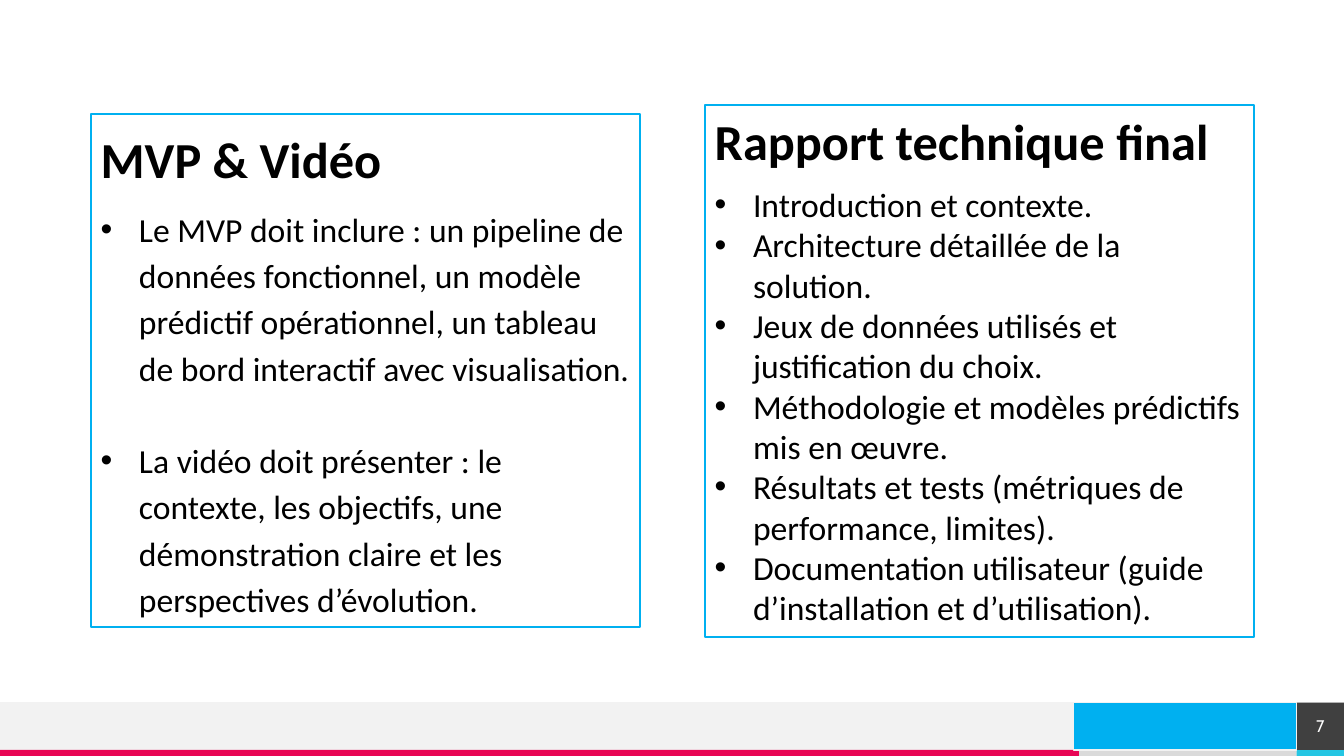
from lxml.etree import SubElement
from pptx import Presentation
from pptx.dml.color import RGBColor
from pptx.enum.shapes import MSO_CONNECTOR, MSO_SHAPE
from pptx.enum.text import MSO_ANCHOR, PP_ALIGN
from pptx.oxml.ns import qn
from pptx.util import Inches, Pt

BLACK = RGBColor(0x00, 0x00, 0x00)
WHITE = RGBColor(0xFF, 0xFF, 0xFF)
BLUE = RGBColor(0x00, 0xB0, 0xF0)
CYAN = RGBColor(0x25, 0xC6, 0xE3)
PINK = RGBColor(0xE8, 0x05, 0x54)
DARK = RGBColor(0x40, 0x40, 0x40)
PALE = RGBColor(0xF2, 0xF2, 0xF2)
GREY = RGBColor(0xDA, 0xDA, 0xDA)

PAGE_NUMBER = "7"
PANELS = [
    {
        "box": (0.9, 1.13, 5.45, 5.09),
        "title": "MVP & Vidéo",
        "points": [
            "Le MVP doit inclure : un pipeline de données fonctionnel, un modèle prédictif "
            "opérationnel, un tableau de bord interactif avec visualisation.",
            "La vidéo doit présenter : le contexte, les objectifs, une démonstration claire "
            "et les perspectives d’évolution.",
        ],
        "line_spacing": 1.15,
        "title_gap": 10,
        "point_gap": 33,
    },
    {
        "box": (6.99, 1.04, 5.45, 5.28),
        "title": "Rapport technique final",
        "points": [
            "Introduction et contexte.",
            "Architecture détaillée de la solution.",
            "Jeux de données utilisés et justification du choix.",
            "Méthodologie et modèles prédictifs mis en œuvre.",
            "Résultats et tests (métriques de performance, limites).",
            "Documentation utilisateur (guide d’installation et d’utilisation).",
        ],
        "line_spacing": 1.0,
        "title_gap": 9.75,
        "point_gap": 0,
    },
]

SLIDE_WIDTH, SLIDE_HEIGHT = 13.33, 7.5
BAND_TOP, STRIP_TOP = 6.97, 7.44
BAND_HEIGHT = STRIP_TOP - BAND_TOP
STRIP_HEIGHT = SLIDE_HEIGHT - STRIP_TOP
BAND_END, NUMBER_LEFT, BLUE_LEFT = 10.7, 12.86, 10.65
NUMBER_WIDTH = SLIDE_WIDTH - NUMBER_LEFT
INDENT = 0.38

FOOTER = [
    ((BAND_END, STRIP_TOP, NUMBER_LEFT - BAND_END, STRIP_HEIGHT), GREY),
    ((0, BAND_TOP, BAND_END, BAND_HEIGHT), PALE),
    ((0, STRIP_TOP, BAND_END, STRIP_HEIGHT), PINK),
    ((NUMBER_LEFT, STRIP_TOP, NUMBER_WIDTH, STRIP_HEIGHT), CYAN),
]

HEADING = {"name": "Calibri", "size": Pt(36), "bold": True}
BODY = {"name": "Calibri", "size": Pt(24), "bold": False}
NUMBER = {"name": "Cabin", "size": Pt(12)}


def set_all(target, values):
    for key, value in values.items():
        setattr(target, key, value)


def add_box(slide, box, fill=None, line=None, line_width=1):
    shape = slide.shapes.add_shape(MSO_SHAPE.RECTANGLE, *map(Inches, box))
    shape.shadow.inherit = False
    if fill is None:
        shape.fill.background()
    else:
        shape.fill.solid()
        shape.fill.fore_color.rgb = fill
    if line is None:
        shape.line.fill.background()
    else:
        shape.line.color.rgb = line
        shape.line.width = Pt(line_width)
    return shape


def write(paragraph, text, style, color, layout):
    run = paragraph.add_run()
    run.text = text
    set_all(run.font, style)
    run.font.color.rgb = color
    set_all(paragraph, layout)


def add_bullet(paragraph):
    properties = paragraph._p.get_or_add_pPr()
    properties.set("marL", str(Inches(INDENT)))
    properties.set("indent", str(-Inches(INDENT)))
    SubElement(properties, qn("a:buFont")).set("typeface", "Arial")
    SubElement(properties, qn("a:buChar")).set("char", "•")


def add_panel(slide, panel):
    frame = add_box(slide, panel["box"], line=BLUE, line_width=1.5).text_frame
    set_all(frame, {"word_wrap": True, "vertical_anchor": MSO_ANCHOR.TOP})
    layout = {"alignment": PP_ALIGN.LEFT, "line_spacing": panel["line_spacing"]}
    write(frame.paragraphs[0], panel["title"], HEADING, BLACK,
          {**layout, "space_after": Pt(panel["title_gap"])})
    for point in panel["points"]:
        paragraph = frame.add_paragraph()
        gap = 0 if point == panel["points"][-1] else panel["point_gap"]
        write(paragraph, point, BODY, BLACK, {**layout, "space_after": Pt(gap)})
        add_bullet(paragraph)


def add_footer(slide):
    for box, color in FOOTER:
        add_box(slide, box, color)
    rule = slide.shapes.add_connector(
        MSO_CONNECTOR.STRAIGHT,
        Inches(SLIDE_WIDTH), Inches(BAND_TOP), Inches(0), Inches(BAND_TOP))
    rule.line.color.rgb = PALE
    rule.line.width = Pt(0.5)
    SubElement(rule._element.spPr, qn("a:effectLst"))
    frame = add_box(slide, (NUMBER_LEFT, BAND_TOP, NUMBER_WIDTH, BAND_HEIGHT), DARK).text_frame
    set_all(frame, {"vertical_anchor": MSO_ANCHOR.MIDDLE, "margin_left": 0,
                    "margin_right": 0, "margin_top": 0, "margin_bottom": 0})
    write(frame.paragraphs[0], PAGE_NUMBER, NUMBER, WHITE, {"alignment": PP_ALIGN.CENTER})


def main():
    deck = Presentation()
    deck.slide_width, deck.slide_height = Inches(SLIDE_WIDTH), Inches(SLIDE_HEIGHT)
    slide = deck.slides.add_slide(deck.slide_layouts[6])
    add_footer(slide)
    for panel in PANELS:
        add_panel(slide, panel)
    add_box(slide, (BLUE_LEFT, BAND_TOP, NUMBER_LEFT - BLUE_LEFT, BAND_HEIGHT), BLUE, PALE)
    deck.save("out.pptx")


if __name__ == "__main__":
    main()
